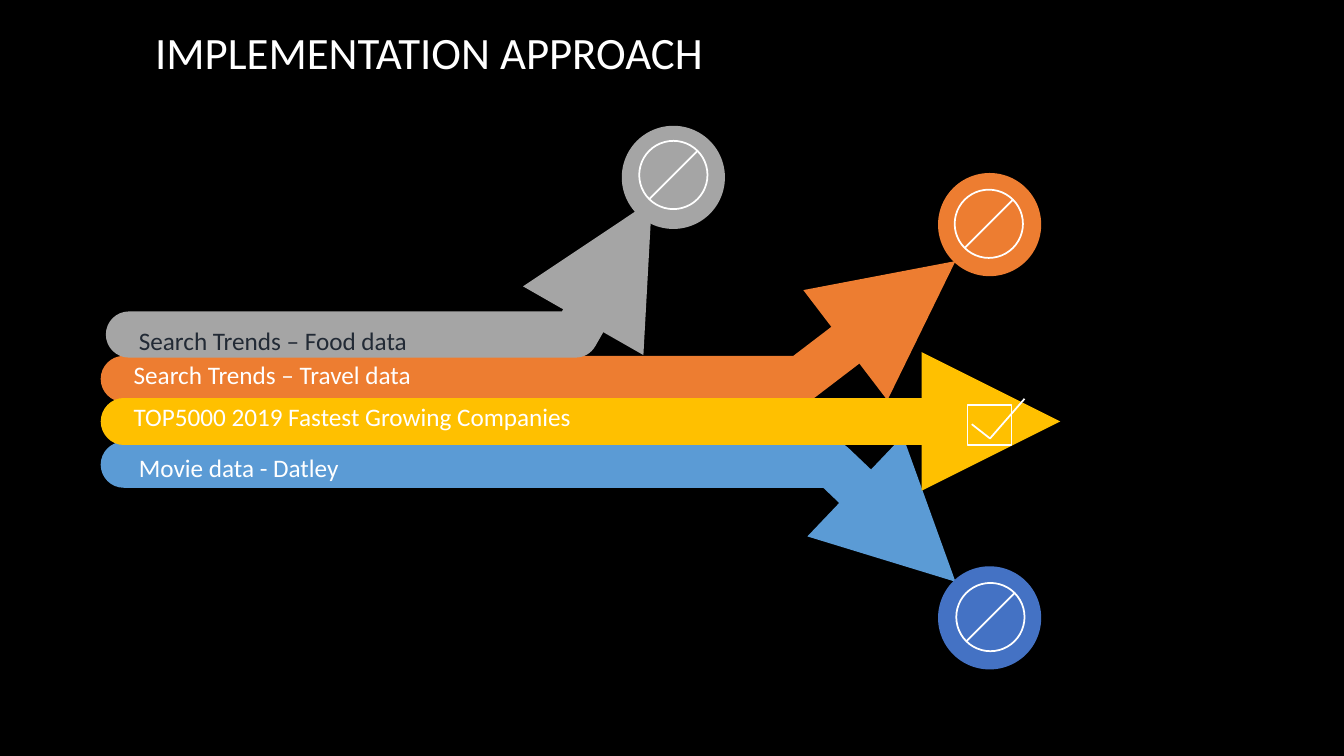
from lxml import etree
from pptx import Presentation
from pptx.dml.color import RGBColor
from pptx.enum.shapes import MSO_CONNECTOR as Link, MSO_SHAPE as Preset
from pptx.oxml.ns import qn
from pptx.util import Cm, Pt

COLORS = {
    "black": "000000", "white": "FFFFFF", "ink": "222A35",
    "orange": "ED7D31", "blue": "5B9BD5", "royal": "4472C4",
    "gold": "FFC000", "gray": "A5A5A5",
}
ARROW_WIDTH, ICON_WIDTH = 33, 1.25
DISC_RADIUS, ICON_RADIUS, SLASH_REACH = 1.3, 0.86, 0.61

# Arrow points, disc centre, icon centre and label place are in cm, back to front.
ROUTES = [
    dict(color="orange", points=[(3.12, 9.55), (20.19, 9.55), (24.08, 6.58)],
         disc=(24.94, 5.66), disc_color="orange", icon=(24.92, 5.64),
         text="Search Trends – Travel data", text_color="white", label=(3.12, 8.94, 9.8)),
    dict(color="blue", points=[(3.12, 11.71), (20.98, 11.71), (24.08, 14.66)],
         disc=(24.94, 15.57), disc_color="royal", icon=(24.96, 15.55),
         text="Movie data - Datley", text_color="white", label=(3.25, 11.28, 9.8)),
    dict(color="gold", points=[(3.12, 10.62), (26.72, 10.62)], disc=None,
         text="TOP5000 2019 Fastest Growing Companies", text_color="white",
         label=(3.12, 9.98, 12.85)),
    dict(color="gray", points=[(3.25, 8.43), (14.5, 8.43), (16.43, 5.05)],
         disc=(16.97, 4.47), disc_color="gray", icon=(16.97, 4.41),
         text="Search Trends – Food data", text_color="ink", label=(3.25, 8.08, 9.8)),
]

deck = Presentation()
deck.slide_width, deck.slide_height = Cm(33.87), Cm(19.05)
page = deck.slides.add_slide(deck.slide_layouts[6])
page.background.fill.solid()
page.background.fill.fore_color.rgb = RGBColor.from_string(COLORS["black"])


def add_path(points, color, width, arrow=False):
    """Draw an open line through the points; an arrow has round ends and a triangle tip."""
    corners = [(Cm(x), Cm(y)) for x, y in points]
    if len(corners) == 2:
        path = page.shapes.add_connector(Link.STRAIGHT, *corners[0], *corners[1])
        etree.SubElement(path.element.spPr, qn("a:effectLst"))
    else:
        builder = page.shapes.build_freeform(*corners[0])
        builder.add_line_segments(corners[1:], close=False)
        path = builder.convert_to_shape()
        path.fill.background()
        path.shadow.inherit = False
    path.line.color.rgb = RGBColor.from_string(COLORS[color])
    path.line.width = Pt(width)
    if arrow:
        stroke = path.element.spPr.find(qn("a:ln"))
        stroke.set("cap", "rnd")
        etree.SubElement(stroke, qn("a:round"))
        etree.SubElement(stroke, qn("a:tailEnd"), type="triangle")


def add_label(text, left, top, width, height, size, color):
    box = page.shapes.add_textbox(Cm(left), Cm(top), Cm(width), Cm(height))
    box.text_frame.word_wrap = True
    para = box.text_frame.paragraphs[0]
    span = para.add_run()
    span.text = text
    span.font.name, span.font.size = "Calibri", Pt(size)
    span.font.color.rgb = RGBColor.from_string(COLORS[color])


for route in ROUTES:
    add_path(route["points"], route["color"], ARROW_WIDTH, arrow=True)
    if route["disc"]:
        x, y = route["disc"]
        disc = page.shapes.add_shape(Preset.OVAL, Cm(x - DISC_RADIUS), Cm(y - DISC_RADIUS),
                                     Cm(2 * DISC_RADIUS), Cm(2 * DISC_RADIUS))
        disc.fill.solid()
        disc.fill.fore_color.rgb = RGBColor.from_string(COLORS[route["disc_color"]])
        disc.line.fill.background()
        x, y = route["icon"]
        icon = page.shapes.add_shape(Preset.OVAL, Cm(x - ICON_RADIUS), Cm(y - ICON_RADIUS),
                                     Cm(2 * ICON_RADIUS), Cm(2 * ICON_RADIUS))
        marks = [(x - SLASH_REACH, y + SLASH_REACH), (x + SLASH_REACH, y - SLASH_REACH)]
        disc.shadow.inherit = False
    else:
        icon = page.shapes.add_shape(Preset.RECTANGLE, Cm(24.38), Cm(10.2), Cm(1.11), Cm(1.01))
        marks = [(24.49, 10.69), (24.95, 11.05), (25.82, 10.05)]
    icon.fill.background()
    icon.line.color.rgb = RGBColor.from_string(COLORS["white"])
    icon.line.width = Pt(ICON_WIDTH)
    icon.shadow.inherit = False
    add_path(marks, "white", ICON_WIDTH)
    add_label(route["text"], *route["label"], 1.03, 18, route["text_color"])

add_label("IMPLEMENTATION APPROACH", 3.66, 0.51, 23.6, 1.62, 32, "white")

deck.save("out.pptx")
